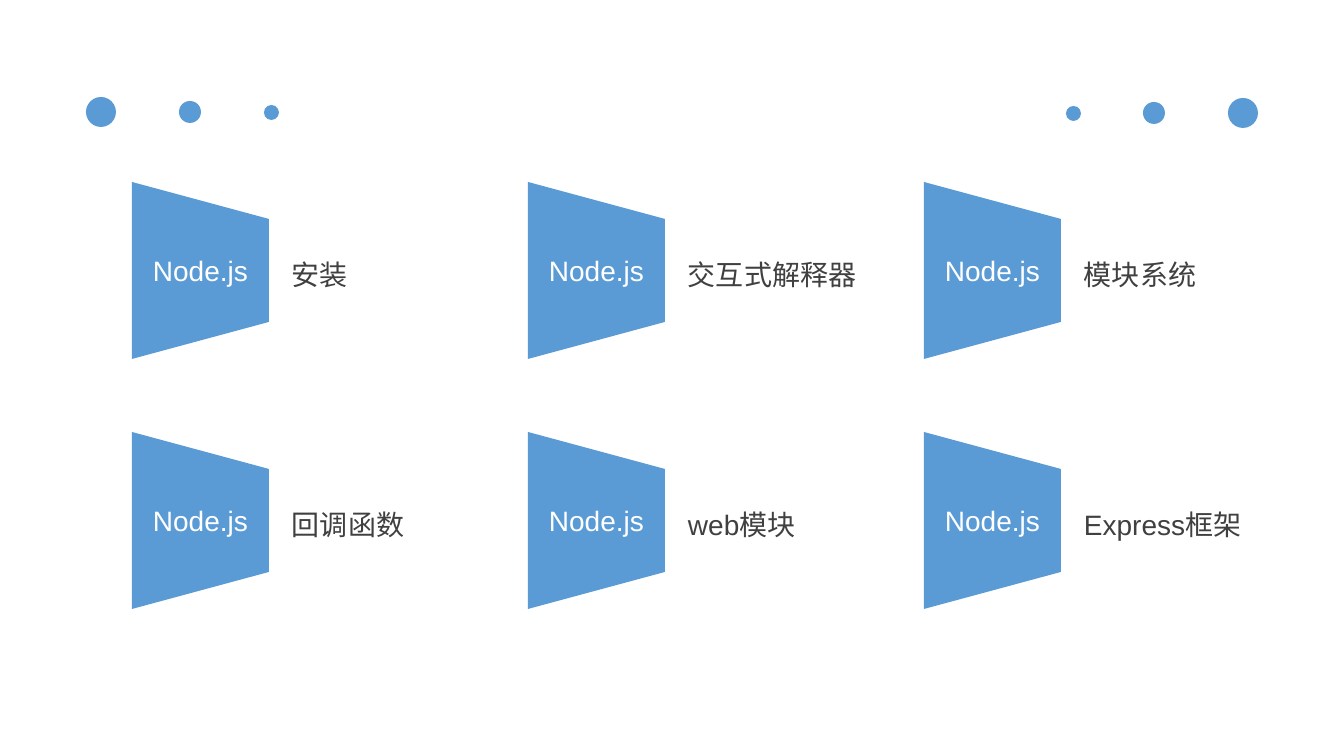
from pptx import Presentation
from pptx import util as u
from pptx.dml.color import RGBColor
from pptx.enum import shapes, text

PX = u.Inches(7.5) / 756
SLIDE_W, SLIDE_H = 1344, 756
COLORS = {"blue": "5B9BD5", "gray": "404040", "white": "FFFFFF"}

TOPICS = [
    ["安装", "交互式解释器", "模块系统"],
    ["回调函数", "web模块", "Express框架"],
]
LEFT, TOP = 132, 182
COLUMN_STEP, ROW_STEP = 396, 250
FLAG_W, FLAG_H, FLAG_SLOPE = 137, 177, 37
TOPIC_OFFSET, TOPIC_W = 160, 244

DOTS = [(101, 30), (190, 22), (271, 15)]  # centre x, diameter
LEFT_DOTS_Y, RIGHT_DOTS_Y = 112, 113


def paint_blue(shape):
    shape.shadow.inherit = False
    shape.fill.solid()
    shape.fill.fore_color.rgb = RGBColor.from_string(COLORS["blue"])
    shape.line.fill.background()


def write(shape, words, color, align):
    """Put one vertically centred 20 pt line of words into the shape."""
    frame = shape.text_frame
    frame.word_wrap = True
    frame.vertical_anchor = text.MSO_ANCHOR.MIDDLE
    line = frame.paragraphs[0]
    line.text = words
    line.alignment = align
    line.font.name = "Arial"
    line.font.size = u.Pt(20)
    line.font.color.rgb = RGBColor.from_string(COLORS[color])
    return frame


prs = Presentation()
prs.slide_width, prs.slide_height = round(SLIDE_W * PX), round(SLIDE_H * PX)
slide = prs.slides.add_slide(prs.slide_layouts[6])

# Dots shrink towards the middle, mirrored on the right
for center, size in DOTS:
    for x, y in [(center, LEFT_DOTS_Y), (SLIDE_W - center, RIGHT_DOTS_Y)]:
        box = [round(n * PX) for n in (x - size // 2, y - size // 2, size, size)]
        paint_blue(slide.shapes.add_shape(shapes.MSO_SHAPE.OVAL, *box))

# Grid of topics, each with a tapering flag
for row, topics in enumerate(TOPICS):
    for column, topic in enumerate(topics):
        x = LEFT + column * COLUMN_STEP
        y = TOP + row * ROW_STEP

        box = [round(n * PX) for n in (x + TOPIC_OFFSET, y, TOPIC_W, FLAG_H)]
        label = write(slide.shapes.add_textbox(*box), topic, "gray", text.PP_ALIGN.LEFT)
        label.margin_left = label.margin_right = 0
        label.margin_top = label.margin_bottom = 0
        label.paragraphs[0].line_spacing = 1.2

        outline = slide.shapes.build_freeform(x, y, scale=PX)
        outline.add_line_segments([
            (x + FLAG_W, y + FLAG_SLOPE),
            (x + FLAG_W, y + FLAG_H - FLAG_SLOPE),
            (x, y + FLAG_H),
        ])
        flag = outline.convert_to_shape()
        paint_blue(flag)
        write(flag, "Node.js", "white", text.PP_ALIGN.CENTER)

prs.save("out.pptx")
